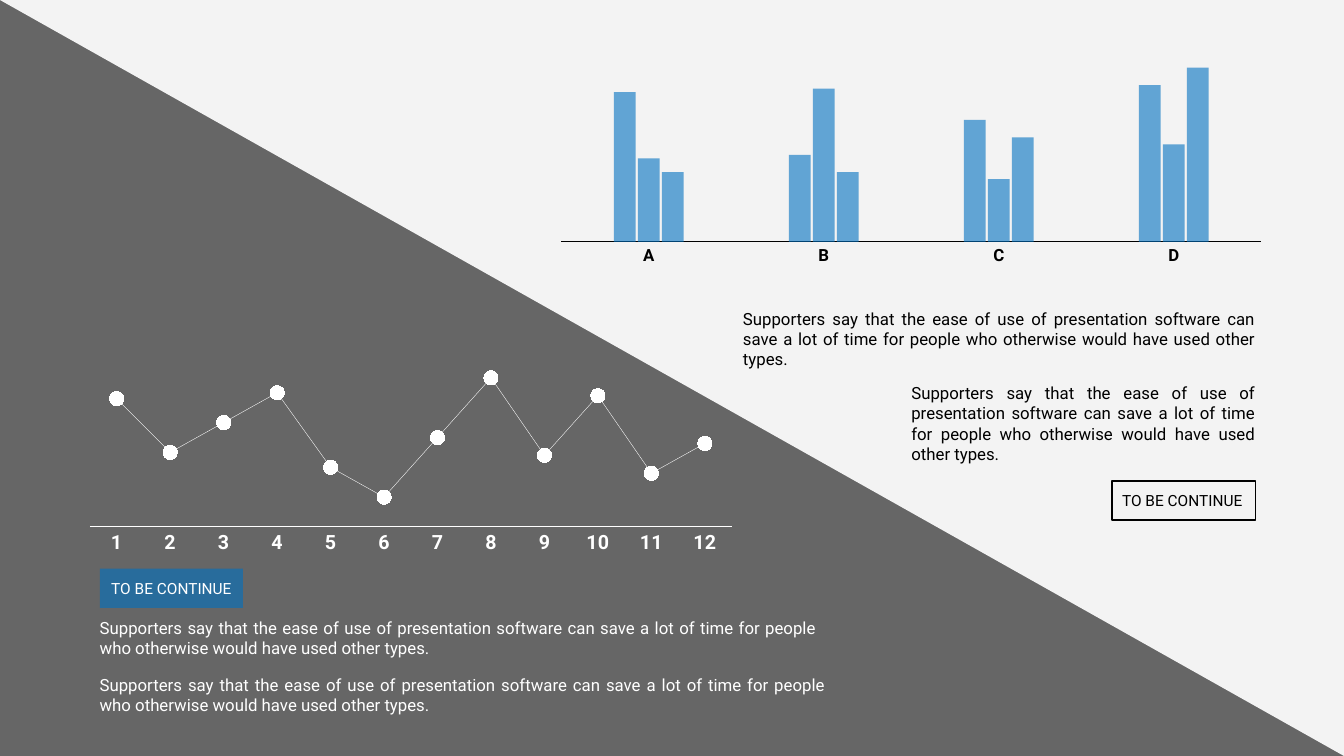
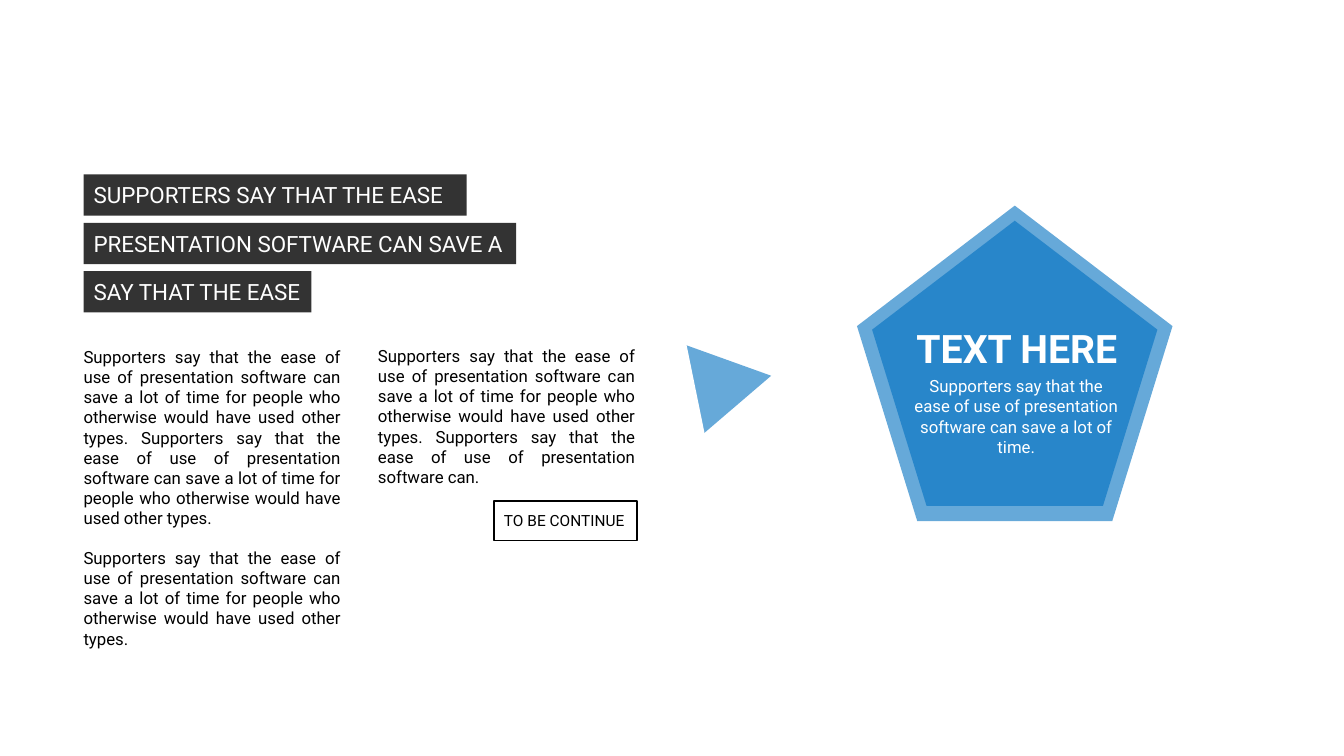
from dataclasses import dataclass

from pptx import Presentation
from pptx import util as u
from pptx.chart import data as chart_data
from pptx.dml.color import RGBColor
from pptx.enum import chart as charts
from pptx.enum import shapes, text
from pptx.oxml import parse_xml
from pptx.oxml.ns import nsdecls, qn

EMU_PER_PX = 9144
SHAPE = shapes.MSO_SHAPE
ALIGN = text.PP_ALIGN


@dataclass(frozen=True)
class Theme:
    font: str = "Roboto"
    black: str = "000000"
    white: str = "FFFFFF"
    blue: str = "0070C0"
    tint: int = 60
    banner_tint: int = 80
    paper_tint: int = 92
    button: int = 11
    body: int = 12
    axis: int = 14
    banner: int = 16
    headline: int = 28


THEME = Theme()
CLAIM = (
    "Supporters say that the ease of use of presentation software can save a lot of time "
    "for people who otherwise would have used other types."
)
OPENING = "Supporters say that the ease of use of presentation software can"


def px(count):
    return u.Emu(count * EMU_PER_PX)


def frame(left, top, width, height):
    return px(left), px(top), px(width), px(height)


def style_font(font, size, color, bold=False):
    font.name = THEME.font
    font.size = u.Pt(size)
    font.bold = bold
    font.color.rgb = RGBColor.from_string(color)


def paint(fill, properties, color, opacity=100):
    fill.solid()
    fill.fore_color.rgb = RGBColor.from_string(color)
    if opacity < 100:
        swatch = properties.find(qn("a:solidFill")).find(qn("a:srgbClr"))
        swatch.append(parse_xml(f'<a:alpha {nsdecls("a")} val="{opacity * 1000}"/>'))


def write(holder, paragraphs, size, color, align, bold=False, gap=0):
    holder.word_wrap = True
    for index, words in enumerate(paragraphs):
        para = holder.paragraphs[0] if index == 0 else holder.add_paragraph()
        para.alignment = align
        if index:
            para.space_before = u.Pt(gap)
        span = para.add_run()
        span.text = words
        style_font(span.font, size, color, bold)


def add_panel(parent, kind, place, color=None, opacity=100, rotation=0, outline=None):
    panel = parent.add_shape(kind, *frame(*place))
    panel.shadow.inherit = False
    panel.rotation = rotation
    if color:
        paint(panel.fill, panel.element.spPr, color, opacity)
    else:
        panel.fill.background()
    if outline:
        panel.line.color.rgb = RGBColor.from_string(outline)
        panel.line.width = u.Pt(1)
    else:
        panel.line.fill.background()
    return panel


def add_text(page, place, paragraphs, color, align=ALIGN.JUSTIFY,
             size=THEME.body, bold=False, gap=0):
    box = page.shapes.add_textbox(*frame(*place))
    write(box.text_frame, paragraphs, size, color, align, bold, gap)
    box.text_frame.auto_size = text.MSO_AUTO_SIZE.SHAPE_TO_FIT_TEXT


def add_label(panel, words, size, color, align=ALIGN.LEFT):
    panel.text_frame.vertical_anchor = text.MSO_ANCHOR.MIDDLE
    write(panel.text_frame, [words], size, color, align)


def add_button(page, left, top, filled=False):
    place = (left, top, 142, 39)
    if filled:
        button = add_panel(page.shapes, SHAPE.RECTANGLE, place, THEME.blue, THEME.tint)
        add_label(button, "TO BE CONTINUE", THEME.button, THEME.white, ALIGN.CENTER)
    else:
        button = add_panel(page.shapes, SHAPE.RECTANGLE, place, outline=THEME.black)
        add_label(button, "TO BE CONTINUE", THEME.button, THEME.black)


def add_banner(page, top, width, words):
    place = (83, top, width, 41)
    banner = add_panel(page.shapes, SHAPE.RECTANGLE, place, THEME.black, THEME.banner_tint)
    add_label(banner, words, THEME.banner, THEME.white)


def set_plot_area(chart, left, top, width, height):
    area = chart.element.find(qn("c:chart")).find(qn("c:plotArea"))
    for layout in area.findall(qn("c:layout")):
        area.remove(layout)
    sides = "".join(
        f'<c:{side} val="{share}"/>'
        for side, share in zip("xywh", (left, top, width, height))
    )
    area.insert(0, parse_xml(
        f'<c:layout {nsdecls("c")}><c:manualLayout><c:layoutTarget val="inner"/>'
        f'<c:xMode val="edge"/><c:yMode val="edge"/>{sides}</c:manualLayout></c:layout>'
    ))


def add_plain_chart(page, kind, place, categories, rows, plot_area, color, axis_size):
    data = chart_data.CategoryChartData()
    data.categories = categories
    for number, values in enumerate(rows, 1):
        data.add_series(f"Series {number}", values)
    chart = page.shapes.add_chart(kind, *frame(*place), data).chart
    chart.has_legend = False
    chart.has_title = False
    style_font(chart.font, 10, color)
    axis = chart.category_axis
    axis.major_tick_mark = charts.XL_TICK_MARK.NONE
    axis.format.line.color.rgb = RGBColor.from_string(color)
    axis.format.line.width = u.Pt(0.75)
    style_font(axis.tick_labels.font, axis_size, color, True)
    scale = chart.value_axis
    scale.visible = False
    scale.has_major_gridlines = False
    scale.minimum_scale = 0
    scale.maximum_scale = 120
    scale.major_unit = 40
    set_plot_area(chart, *plot_area)
    plot = chart.plots[0]
    plot.vary_by_categories = False
    return plot


def add_column_chart(page):
    rows = [(86, 50, 70, 90), (48, 88, 36, 56), (40, 40, 60, 100)]
    plot = add_plain_chart(
        page, charts.XL_CHART_TYPE.COLUMN_CLUSTERED, (542, 14, 731, 266), list("ABCD"),
        rows, (0.02, 0.07, 0.95, 0.78), THEME.black, THEME.body,
    )
    plot.gap_width = 487
    plot.overlap = -11
    for series in plot.series:
        fill = series.format.fill
        fill.solid()
        paint(fill, series._element.find(qn("c:spPr")), THEME.blue, THEME.tint)


def add_line_chart(page):
    values = (86, 50, 70, 90, 40, 20, 60, 100, 48, 88, 36, 56)
    months = [str(number) for number in range(1, len(values) + 1)]
    plot = add_plain_chart(
        page, charts.XL_CHART_TYPE.LINE_MARKERS, (76, 341, 663, 214), months,
        [values], (0.02, 0.02, 0.96, 0.83), THEME.white, THEME.axis,
    )
    white = RGBColor.from_string(THEME.white)
    series = plot.series[0]
    series.smooth = False
    series.format.line.color.rgb = white
    series.format.line.width = u.Pt(0.25)
    series.marker.style = charts.XL_MARKER_STYLE.CIRCLE
    series.marker.size = 10
    series.marker.format.fill.solid()
    series.marker.format.fill.fore_color.rgb = white
    series.marker.format.line.color.rgb = white


def build_charts_page(page):
    full = (0, 0, 1333, 750)
    add_panel(page.shapes, SHAPE.RECTANGLE, full, THEME.black, THEME.tint)
    add_panel(page.shapes, SHAPE.RIGHT_TRIANGLE, full, THEME.white, THEME.paper_tint, 180)
    add_column_chart(page)
    add_line_chart(page)
    for place, color in (
        ((727, 301, 528, 71), THEME.black),
        ((894, 375, 361, 91), THEME.black),
        ((89, 608, 731, 50), THEME.white),
        ((89, 664, 740, 50), THEME.white),
    ):
        add_text(page, place, [CLAIM], color)
    add_button(page, 1103, 477)
    add_button(page, 99, 564, filled=True)


def add_pentagon_badge(page):
    badge = page.shapes.add_group_shape()
    for inset in (0, 15):
        side = 313 - 2 * inset
        place = (850 + inset, 204 + inset, side, side)
        add_panel(badge.shapes, SHAPE.REGULAR_PENTAGON, place, THEME.blue, THEME.tint)
    add_text(page, (893, 368, 230, 91), [f"{OPENING} save a lot of time."],
             THEME.white, ALIGN.CENTER)
    add_text(page, (898, 317, 221, 57), ["TEXT HERE"], THEME.white, ALIGN.CENTER,
             THEME.headline, bold=True)


def build_badge_page(page):
    add_pentagon_badge(page)
    add_panel(page.shapes, SHAPE.ISOSCELES_TRIANGLE, (679, 340, 93, 80),
              THEME.blue, THEME.tint, 79.6)
    add_panel(page.shapes, SHAPE.FLOWCHART_MANUAL_INPUT, (7, -7, 750, 764),
              THEME.white, rotation=90)
    banners = (
        (380, "SUPPORTERS SAY THAT THE EASE"),
        (429, "PRESENTATION SOFTWARE CAN SAVE A"),
        (226, "SAY THAT THE EASE"),
    )
    for row, (width, words) in enumerate(banners):
        add_banner(page, 173 + 48 * row, width, words)
    add_text(page, (73, 339, 275, 313), [f"{CLAIM} {CLAIM}", CLAIM], THEME.black, gap=14)
    add_text(page, (365, 338, 275, 151), [f"{CLAIM} {OPENING}."], THEME.black)
    add_button(page, 490, 497)


def main():
    deck = Presentation()
    deck.slide_width, deck.slide_height = px(1333), px(750)
    blank = deck.slide_layouts[6]
    for build in (build_charts_page, build_badge_page):
        build(deck.slides.add_slide(blank))
    deck.save("out.pptx")


if __name__ == "__main__":
    main()
